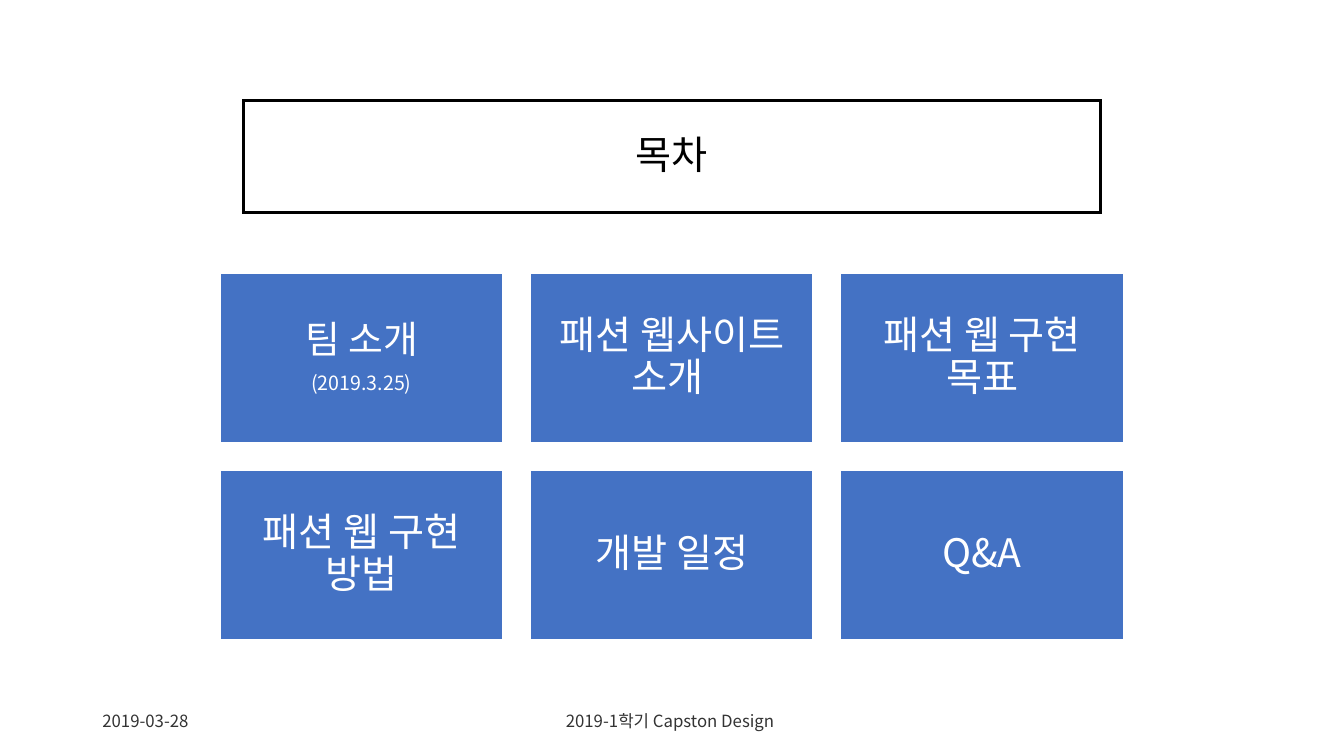
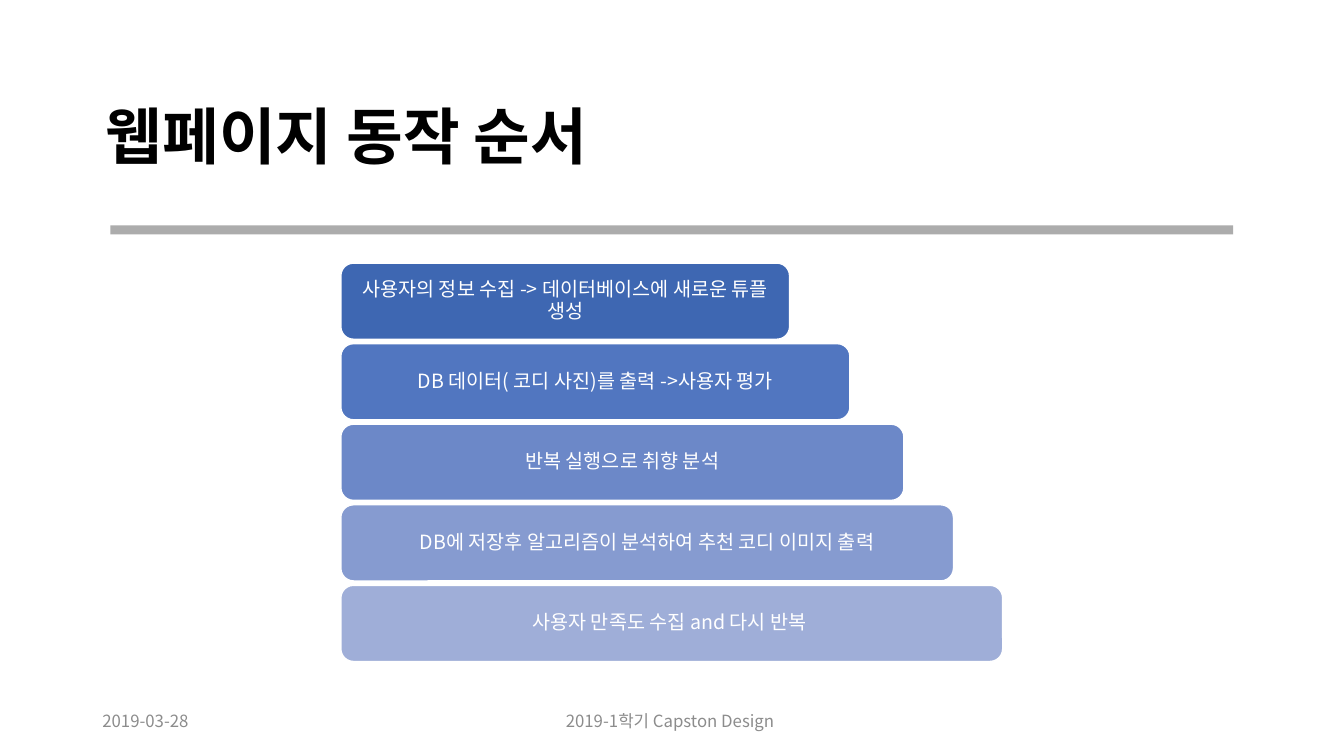
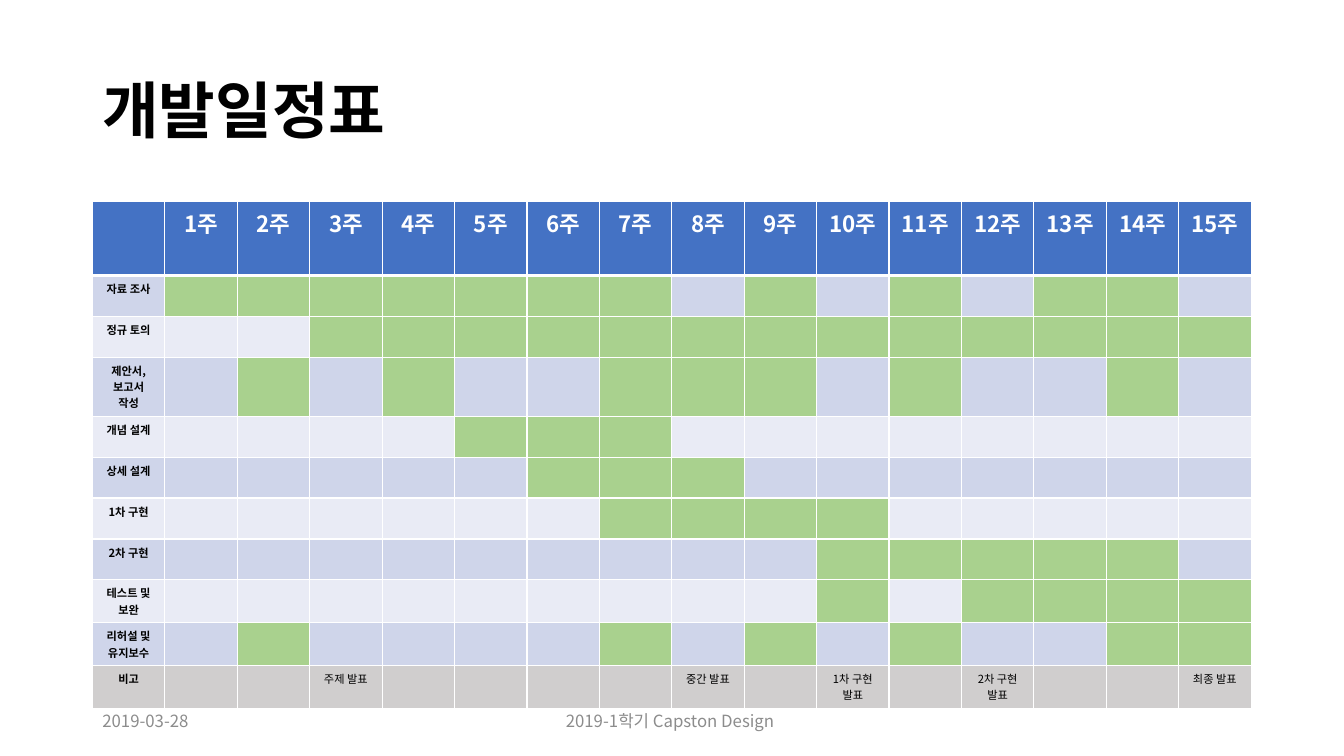
from lxml import etree
from pptx import Presentation
from pptx.dml.color import RGBColor
from pptx.enum.shapes import MSO_SHAPE
from pptx.enum.text import MSO_ANCHOR, PP_ALIGN
from pptx.oxml.ns import qn
from pptx.util import Cm, Pt

FONT = "Noto Sans CJK KR"
BLACK = RGBColor(0x00, 0x00, 0x00)
WHITE = RGBColor(0xFF, 0xFF, 0xFF)
BLUE = RGBColor(0x44, 0x72, 0xC4)
GREEN = RGBColor(0xA9, 0xD1, 0x8E)
BAND_DARK = RGBColor(0xCF, 0xD5, 0xEA)
BAND_LIGHT = RGBColor(0xE9, 0xEB, 0xF5)
REMARK_GRAY = RGBColor(0xD0, 0xCE, 0xCE)
RULE_GRAY = RGBColor(0xAC, 0xAC, 0xAC)
FOOTER_GRAY = RGBColor(0x8C, 0x8C, 0x8C)
FOOTER_DARK = RGBColor(0x33, 0x33, 0x33)
STEP_BLUES = [
    RGBColor(0x3E, 0x67, 0xB2),
    RGBColor(0x51, 0x76, 0xC0),
    RGBColor(0x6C, 0x88, 0xC8),
    RGBColor(0x86, 0x9B, 0xD0),
    RGBColor(0x9F, 0xAE, 0xD8),
]

RECT = MSO_SHAPE.RECTANGLE
ROUNDED = MSO_SHAPE.ROUNDED_RECTANGLE
LEFT = PP_ALIGN.LEFT
CENTER = PP_ALIGN.CENTER
MIDDLE = MSO_ANCHOR.MIDDLE

AGENDA = [
    [("팀 소개", 27), ("(2019.3.25)", 14)],
    [("패션 웹사이트 소개 ", 28)],
    [("패션 웹 구현 목표", 28)],
    [("패션 웹 구현 방법", 28)],
    [("개발 일정", 28)],
    [("Q&A", 28)],
]
STEPS = [
    ("사용자의 정보 수집 -> 데이터베이스에 새로운 튜플 생성", 11.31),
    ("DB 데이터( 코디 사진)를 출력 ->사용자 평가", 12.83),
    ("반복 실행으로 취향 분석", 14.19),
    ("DB에 저장후 알고리즘이 분석하여 추천 코디 이미지 출력", 15.44),
    ("사용자 만족도 수집 and 다시 반복 ", 16.68),
]
WEEKS = 15
HEADER_HEIGHT = 1.86
REMARK_HEIGHT = 1.08
SCHEDULE = [
    ("자료 조사", 1.03, {*range(1, 8), 9, 11, 13, 14}),
    ("정규 토의", 1.03, {*range(3, 16)}),
    ("제안서,보고서 작성", 1.49, {2, 4, 7, 8, 9, 11, 14}),
    ("개념 설계", 1.03, {5, 6, 7}),
    ("상세 설계", 1.03, {6, 7, 8}),
    ("1차 구현", 1.03, {7, 8, 9, 10}),
    ("2차 구현", 1.03, {*range(10, 15)}),
    ("테스트 및 보완", 1.08, {10, *range(12, 16)}),
    ("리허설 및 유지보수", 1.08, {2, 7, 9, 11, 14, 15}),
]
REMARKS = {
    0: "비고",
    3: "주제 발표",
    8: "중간 발표",
    10: "1차 구현 발표",
    12: "2차 구현 발표",
    15: "최종 발표",
}


def write(frame, lines, color=BLACK, bold=False, align=CENTER, spacing=None, after=0):
    """Fill a text frame with (text, size) lines; after separates the lines."""
    frame.word_wrap = True
    for index, (text, size) in enumerate(lines):
        paragraph = frame.add_paragraph() if index else frame.paragraphs[0]
        paragraph.alignment = align
        if spacing:
            paragraph.line_spacing = spacing
        if index < len(lines) - 1:
            paragraph.space_after = Pt(after)
        run = paragraph.add_run()
        run.text = text
        run.font.size = Pt(size)
        run.font.bold = bold
        run.font.color.rgb = color
        run.font.name = FONT
        properties = run._r.get_or_add_rPr()
        properties.set("kern", "1200")
        etree.SubElement(properties, qn("a:ea")).set("typeface", FONT)


def add_label(slide, box, text, size, **style):
    frame = slide.shapes.add_textbox(*map(Cm, box)).text_frame
    frame.vertical_anchor = MIDDLE
    write(frame, [(text, size)], **style)


def add_box(slide, kind, box, fill, line=None, line_width=1, margins=(0.25, 0.13)):
    """Add a filled shape with mitred outline and return its text frame."""
    shape = slide.shapes.add_shape(kind, *map(Cm, box))
    shape.shadow.inherit = False
    shape.fill.solid()
    shape.fill.fore_color.rgb = fill
    if line is None:
        shape.line.fill.background()
    else:
        shape.line.color.rgb = line
        shape.line.width = Pt(line_width)
        outline = shape._element.spPr.find(qn("a:ln"))
        etree.SubElement(outline, qn("a:miter")).set("lim", "800000")
    frame = shape.text_frame
    frame.vertical_anchor = MIDDLE
    frame.margin_left = frame.margin_right = Cm(margins[0])
    frame.margin_top = frame.margin_bottom = Cm(margins[1])
    return frame


def add_title(slide, text, left, top):
    add_label(slide, (left, top, 29.1, 3.68), text, 44,
              bold=True, align=LEFT, spacing=0.9)


def add_slide(deck, footer_color=FOOTER_GRAY):
    """Add a blank slide with the shared date and course footer."""
    slide = deck.slides.add_slide(deck.slide_layouts[6])
    add_label(slide, (2.33, 17.66, 7.62, 1.01), "2019-03-28", 12,
              color=footer_color, align=LEFT)
    add_label(slide, (11.22, 17.66, 11.43, 1.01), "2019-1학기 Capston Design ", 12,
              color=footer_color)
    return slide


def build_agenda(deck):
    slide = add_slide(deck, FOOTER_DARK)
    heading = add_box(slide, RECT, (6.14, 2.53, 21.59, 2.83), WHITE, BLACK, 2)
    write(heading, [("목차", 28)], spacing=0.9)

    columns, width, height, gap = 3, 7.12, 4.27, 0.7
    for index, lines in enumerate(AGENDA):
        row, column = divmod(index, columns)
        box = (5.55 + column * (width + gap), 6.88 + row * (height + gap), width, height)
        tile = add_box(slide, RECT, box, BLUE, WHITE, margins=(0.3, 0.3))
        write(tile, lines, color=WHITE, spacing=0.9, after=9)


def build_steps(deck):
    slide = add_slide(deck)
    add_title(slide, "웹페이지 동작 순서", 2.42, 1.67)
    add_box(slide, RECT, (2.78, 5.68, 28.3, 0.23), RULE_GRAY)

    for index, ((text, width), fill) in enumerate(zip(STEPS, STEP_BLUES)):
        box = (8.59, 6.63 + index * 2.03, width, 1.92)
        bar = add_box(slide, ROUNDED, box, fill, WHITE, margins=(0.15, 0.08))
        write(bar, [(text, 14)], color=WHITE, spacing=0.9)


def fill_cell(cell, fill, text="", size=8, **style):
    cell.fill.solid()
    cell.fill.fore_color.rgb = fill
    if text:
        write(cell.text_frame, [(text, size)], **style)


def underline_cell(cell, color, width):
    """Give a cell a bottom border."""
    border = etree.Element(qn("a:lnB"), w=str(Pt(width)))
    fill = etree.SubElement(border, qn("a:solidFill"))
    etree.SubElement(fill, qn("a:srgbClr")).set("val", str(color))
    cell._tc.get_or_add_tcPr().insert(0, border)


def build_schedule(deck):
    slide = add_slide(deck)
    add_title(slide, "개발일정표", 2.33, 1.01)

    heights = [HEADER_HEIGHT, *(height for _, height, _ in SCHEDULE), REMARK_HEIGHT]
    last = len(heights) - 1
    table = slide.shapes.add_table(len(heights), WEEKS + 1, Cm(2.33), Cm(5.08),
                                   Cm(29.21), Cm(sum(heights))).table
    for row, height in zip(table.rows, heights):
        row.height = Cm(height)

    for week in range(WEEKS + 1):
        header = table.cell(0, week)
        fill_cell(header, BLUE, f"{week}주" if week else "", 16, color=WHITE, bold=True)
        underline_cell(header, WHITE, 3)
        fill_cell(table.cell(last, week), REMARK_GRAY,
                  REMARKS.get(week, ""), bold=week == 0)

    for row, (task, _, active_weeks) in enumerate(SCHEDULE, start=1):
        band = BAND_DARK if row % 2 else BAND_LIGHT
        fill_cell(table.cell(row, 0), band, task, bold=True)
        for week in range(1, WEEKS + 1):
            fill_cell(table.cell(row, week), GREEN if week in active_weeks else band)


def main():
    deck = Presentation()
    deck.slide_width = Cm(33.87)
    deck.slide_height = Cm(19.05)
    build_agenda(deck)
    build_steps(deck)
    build_schedule(deck)
    deck.save("out.pptx")


if __name__ == "__main__":
    main()
